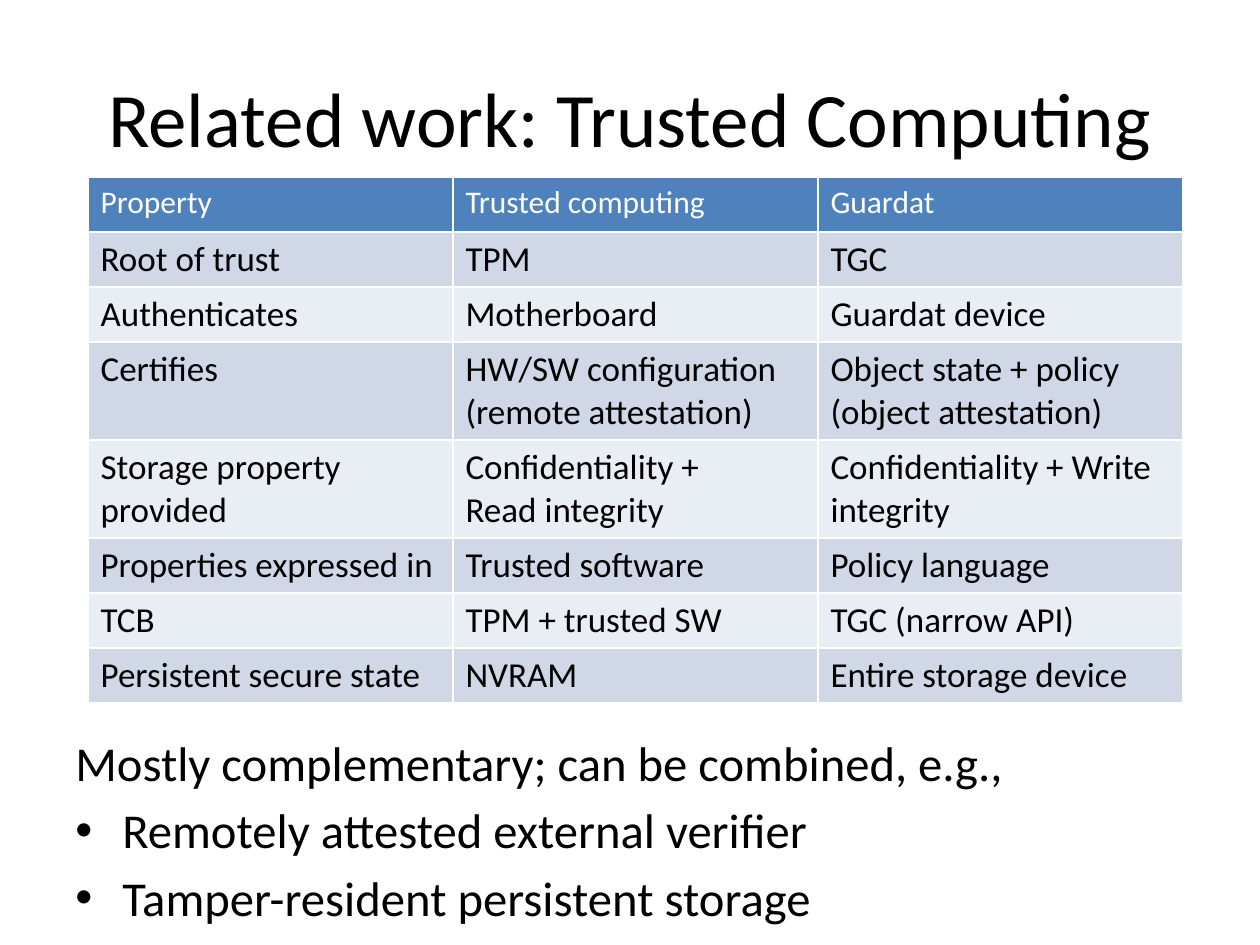
from lxml import etree
from pptx import Presentation
from pptx import util as u
from pptx.dml.color import RGBColor
from pptx.enum import text
from pptx.oxml.ns import qn

ROWS = [
    ("Property", "Trusted computing", "Guardat"),
    ("Root of trust", "TPM", "TGC"),
    ("Authenticates", "Motherboard", "Guardat device"),
    ("Certifies", "HW/SW configuration\n(remote attestation)",
     "Object state + policy\n(object attestation)"),
    ("Storage property\nprovided", "Confidentiality +\nRead integrity",
     "Confidentiality + Write integrity"),
    ("Properties expressed in", "Trusted software", "Policy language"),
    ("TCB", "TPM + trusted SW", "TGC (narrow API)"),
    ("Persistent secure state", "NVRAM", "Entire storage device"),
]
HEIGHTS = [55, 55, 55, 98, 98, 55, 55, 55]
POINTS = ["Remotely attested external verifier",
          "Tamper-resident persistent storage"]
HEAD, BANDS = "4F81BD", ("E9EDF4", "D0D8E8")
BLACK, WHITE = "000000", "FFFFFF"


def px(n):
    return u.Emu(round(n * 914400 / 126))


def rgb(code):
    return RGBColor.from_string(code)


class Deck:
    """Holds the style and the current slide, and adds elements to it."""

    def __init__(self, font):
        self.font = font
        self.prs = Presentation()
        self.prs.slide_width, self.prs.slide_height = px(1260), px(945)
        self.slide = self.prs.slides.add_slide(self.prs.slide_layouts[5])

    def place(self, shape, x, y, w, h):
        shape.left, shape.top = px(x), px(y)
        shape.width, shape.height = px(w), px(h)

    def style(self, frame, size, color=BLACK):
        for para in frame.paragraphs:
            for run in para.runs:
                font = run.font
                font.name, font.size, font.bold = self.font, u.Pt(size), False
                font.color.rgb = rgb(color)

    def title(self, words, *box):
        shape = self.slide.shapes.title
        self.place(shape, *box)
        frame = shape.text_frame
        frame.text = words
        frame.vertical_anchor = text.MSO_ANCHOR.MIDDLE
        frame.paragraphs[0].alignment = text.PP_ALIGN.CENTER
        self.style(frame, 44)

    def border(self, cell):
        props = cell._tc.get_or_add_tcPr()
        for spot, side in enumerate(("a:lnL", "a:lnR", "a:lnT", "a:lnB")):
            line = etree.Element(qn(side), w=str(u.Pt(1)))
            fill = etree.SubElement(line, qn("a:solidFill"))
            etree.SubElement(fill, qn("a:srgbClr"), val=WHITE)
            props.insert(spot, line)

    def table(self, rows, heights, x, y, w):
        cols = len(rows[0])
        grid = self.slide.shapes.add_table(
            len(rows), cols, px(x), px(y), px(w), px(sum(heights))).table
        for col in grid.columns:
            col.width = px(w / cols)
        for r, (row, high) in enumerate(zip(rows, heights)):
            grid.rows[r].height = px(high)
            for c, words in enumerate(row):
                cell = grid.cell(r, c)
                cell.text_frame.text = words
                cell.fill.solid()
                cell.fill.fore_color.rgb = rgb(BANDS[r % 2] if r else HEAD)
                self.style(cell.text_frame, 20 if r else 18,
                           BLACK if r else WHITE)
                self.border(cell)

    def bullets(self, lead, points, size, *box):
        frame = self.slide.shapes.add_textbox(*map(px, box)).text_frame
        frame.word_wrap = True
        frame.text = "\n".join([lead, *points])
        for para in frame.paragraphs[1:]:
            para.space_before = u.Pt(5)
            props = para._p.get_or_add_pPr()
            props.set("marL", str(px(47)))
            props.set("indent", str(px(-47)))
            etree.SubElement(props, qn("a:buFont"), typeface="Arial")
            etree.SubElement(props, qn("a:buChar"), char="•")
        self.style(frame, size)


def main():
    deck = Deck("Calibri")
    deck.title("Related work: Trusted Computing", 63, 38, 1134, 158)
    deck.bullets("Mostly complementary; can be combined, e.g.,", POINTS,
                 27.8, 63, 727, 1134, 198)
    deck.table(ROWS, HEIGHTS, 88, 177, 1095)
    deck.prs.save("out.pptx")


if __name__ == "__main__":
    main()
